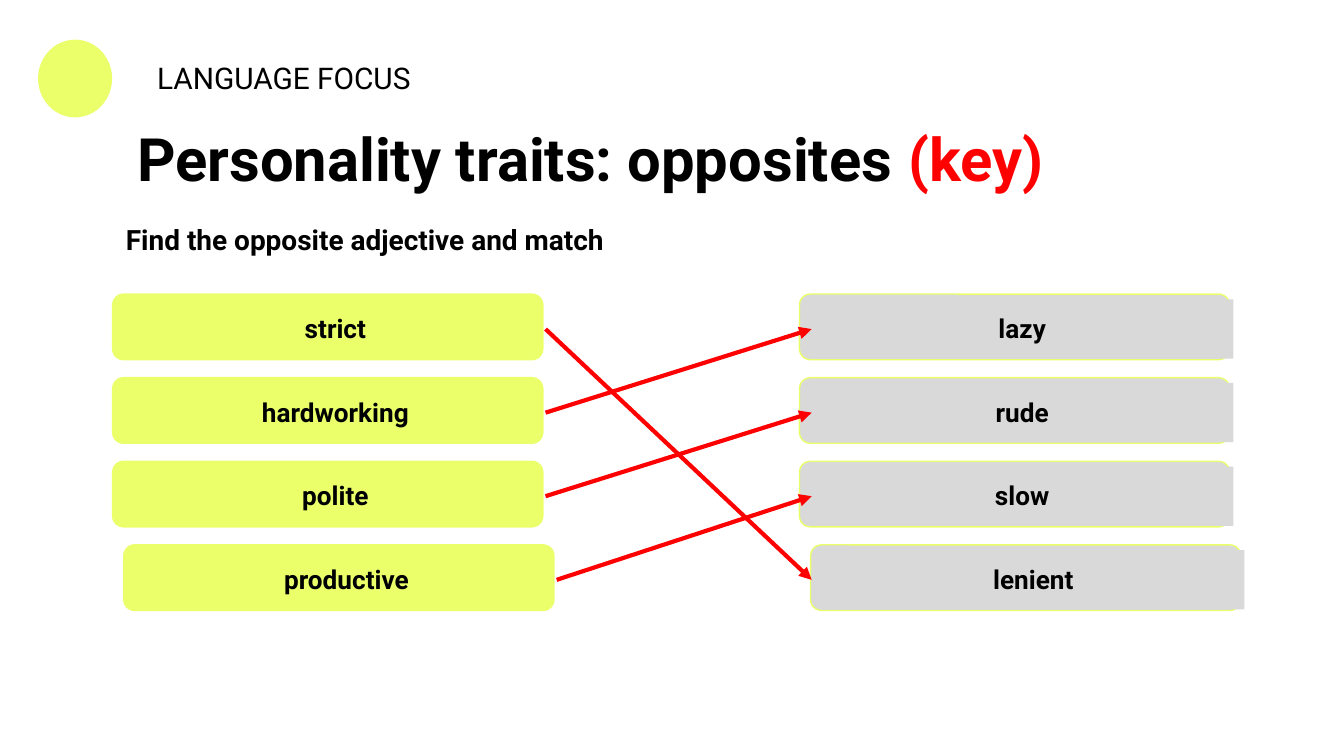
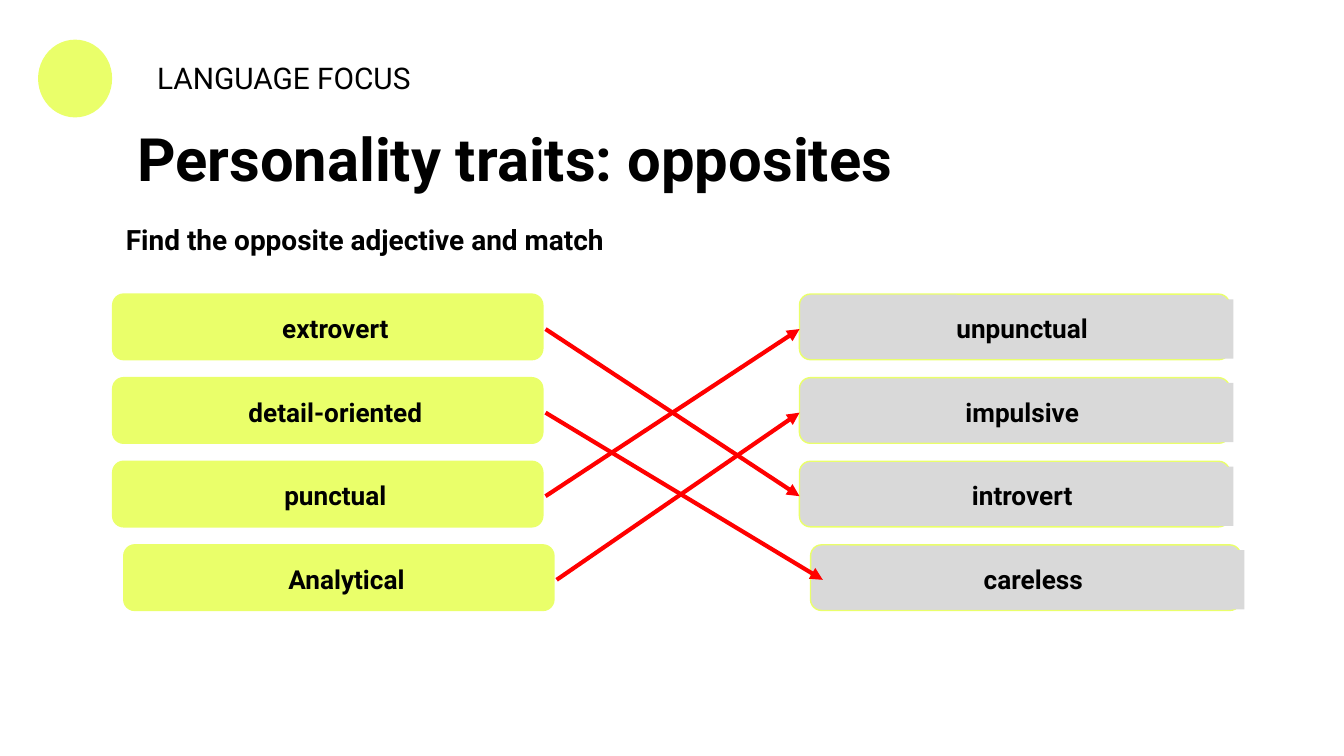
"""Build two slides that match personality adjectives with their opposites."""
from lxml import etree
from pptx import Presentation
from pptx.dml.color import RGBColor
from pptx.enum import shapes, text
from pptx.oxml import ns
from pptx.util import Cm, Pt

FONT, BLACK, RED, LIME, GREY = "Roboto", "000000", "FF0000", "EAFF6A", "D9D9D9"
SECTION = "LANGUAGE FOCUS"
TASK = "Find the opposite adjective and match"
SLIDES = [
    {
        "title": [("Personality traits: opposites ", BLACK), ("(key)", RED)],
        "adjectives": ["strict", "hardworking", "polite", "productive"],
        "opposites": ["lazy", "rude", "slow", "lenient"],
        "matches": [3, 0, 1, 2],
        "arrow_ends": [15.34] * 4,
    },
    {
        "title": [("Personality traits: opposites", BLACK)],
        "adjectives": ["extrovert", "detail-oriented", "punctual", "Analytical"],
        "opposites": ["unpunctual", "impulsive", "introvert", "careless"],
        "matches": [2, 3, 0, 1],
        "arrow_ends": [15.11, 15.55, 15.11, 15.11],
    },
]
ADJECTIVE_LEFT, OPPOSITE_LEFT, ARROW_START = 2.13, 15.11, 10.31
ROW_TOP, ROW_PITCH, ROW_MIDDLE = 5.56, 1.58, 0.66
LAST_ROW_SHIFT = 0.21


def color(hex_value):
    return RGBColor.from_string(hex_value)


def fill(shape, hex_value):
    shape.fill.solid()
    shape.fill.fore_color.rgb = color(hex_value)


def row_top(row):
    return ROW_TOP + row * ROW_PITCH


def row_shift(row):
    return LAST_ROW_SHIFT if row == 3 else 0


def format_frame(frame, size, bold=True, align=text.PP_ALIGN.LEFT):
    frame.word_wrap = True
    frame.auto_size = text.MSO_AUTO_SIZE.SHAPE_TO_FIT_TEXT
    frame.vertical_anchor = text.MSO_ANCHOR.TOP
    frame.margin_left = frame.margin_right = Cm(0.25)
    frame.margin_top = frame.margin_bottom = Cm(0.25)
    paragraph = frame.paragraphs[0]
    paragraph.alignment = align
    paragraph.font.name, paragraph.font.size = FONT, Pt(size)
    paragraph.font.bold = bold
    paragraph.font.color.rgb = color(BLACK)
    return paragraph


def add_text(parent, words, box, size, **style):
    shape = parent.add_textbox(*map(Cm, box))
    shape.text_frame.text = words
    format_frame(shape.text_frame, size, **style)
    return shape


def add_title(slide, runs):
    title = slide.shapes.title
    title.left, title.top, title.width, title.height = map(Cm, (2.34, 2.21, 20.73, 1.75))
    paragraph = format_frame(title.text_frame, 32)
    paragraph.line_spacing = 0.9
    for words, hex_value in runs:
        run = paragraph.add_run()
        run.text = words
        run.font.color.rgb = color(hex_value)


def add_word(slide, word, left, top, hex_value):
    group = slide.shapes.add_group_shape().shapes
    card = group.add_shape(shapes.MSO_SHAPE.ROUNDED_RECTANGLE,
                           *map(Cm, (left, top, 8.13, 1.24)))
    card.shadow.inherit = False
    fill(card, hex_value)
    card.line.color.rgb = color(LIME)
    card.line.width = Pt(0.75)
    label = add_text(group, word, (left + 0.22, top + 0.1, 7.98, 1.12), 14,
                     align=text.PP_ALIGN.CENTER)
    if hex_value == GREY:
        fill(label, GREY)


def add_arrow(slide, start_row, end_row, end_x):
    start = ARROW_START + row_shift(start_row), row_top(start_row) + ROW_MIDDLE
    end = end_x, row_top(end_row) + ROW_MIDDLE
    arrow = slide.shapes.add_connector(shapes.MSO_CONNECTOR.STRAIGHT, *map(Cm, start + end))
    arrow.line.color.rgb = color(RED)
    arrow.line.width = Pt(2.25)
    etree.SubElement(arrow.line._get_or_add_ln(), ns.qn("a:tailEnd"), type="triangle")
    etree.SubElement(arrow._element.spPr, ns.qn("a:effectLst"))


def add_header(slide):
    add_text(slide.shapes, TASK, (2.13, 3.96, 11.91, 1.14), 15)
    circle = slide.shapes.add_shape(shapes.MSO_SHAPE.OVAL, *map(Cm, (0.72, 0.75, 1.4, 1.47)))
    circle.shadow.inherit = False
    fill(circle, LIME)
    circle.line.fill.background()
    add_text(slide.shapes, SECTION, (2.72, 0.88, 8.1, 1.19), 16, bold=False)


def build_slide(presentation, content):
    slide = presentation.slides.add_slide(presentation.slide_layouts[5])
    add_title(slide, content["title"])
    add_header(slide)
    columns = [("adjectives", ADJECTIVE_LEFT, LIME), ("opposites", OPPOSITE_LEFT, GREY)]
    for key, left, hex_value in columns:
        for row, word in enumerate(content[key]):
            add_word(slide, word, left + row_shift(row), row_top(row), hex_value)
    for row, (match, end_x) in enumerate(zip(content["matches"], content["arrow_ends"])):
        add_arrow(slide, row, match, end_x)


def main():
    presentation = Presentation()
    presentation.slide_width, presentation.slide_height = Cm(25.4), Cm(14.29)
    for content in SLIDES:
        build_slide(presentation, content)
    presentation.save("out.pptx")


if __name__ == "__main__":
    main()
